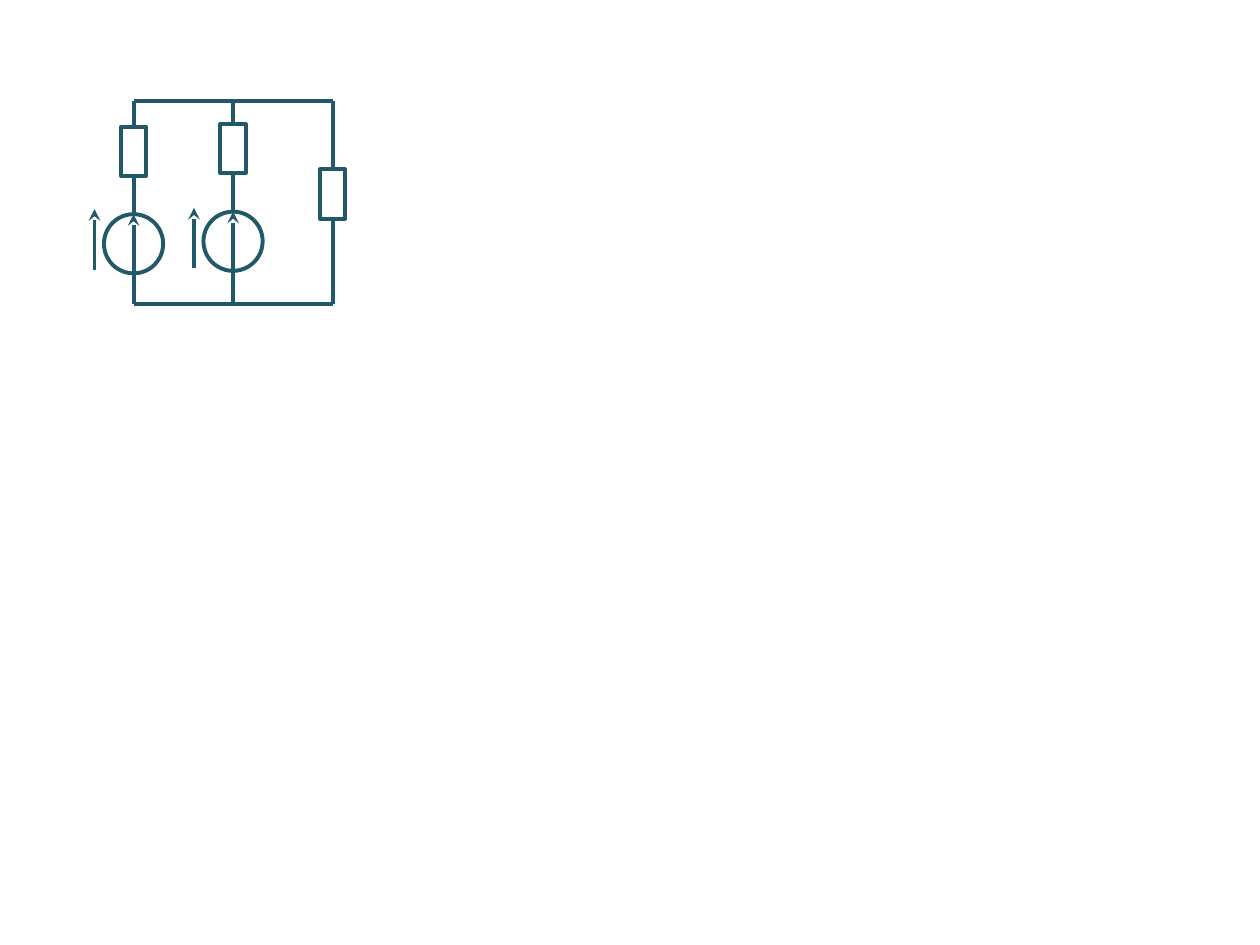
from dataclasses import dataclass

from lxml.etree import SubElement
from pptx import Presentation
from pptx.dml.color import RGBColor
from pptx.enum.shapes import MSO_CONNECTOR, MSO_SHAPE
from pptx.oxml.ns import qn
from pptx.util import Inches, Pt


@dataclass(frozen=True)
class Theme:
    ink: str = "215968"
    weight: float = 2.25


class Board:
    def __init__(self, slide, theme):
        self.slide = slide
        self.theme = theme

    def ink(self, line):
        line.color.rgb = RGBColor.from_string(self.theme.ink)
        line.width = Pt(self.theme.weight)

    def shape(self, kind, x, y, width, height):
        part = self.slide.shapes.add_shape(
            kind, Inches(x - width / 2), Inches(y - height / 2),
            Inches(width), Inches(height))
        part.shadow.inherit = False
        part.fill.background()
        self.ink(part.line)
        return part

    def load(self, x, y):
        return self.shape(MSO_SHAPE.RECTANGLE, x, y, 0.2, LOAD)

    def source(self, x, y):
        return self.shape(MSO_SHAPE.OVAL, x, y, RING, RING)

    def wire(self, start, end):
        line = self.slide.shapes.add_connector(
            MSO_CONNECTOR.STRAIGHT, *(Inches(v) for v in start + end))
        self.ink(line.line)
        SubElement(line._element.spPr, qn("a:effectLst"))
        return line

    def arrow(self, start, end):
        line = self.wire(start, end)
        SubElement(line.line._get_or_add_ln(), qn("a:tailEnd"), type="stealth")


LOAD, RING = 0.39, 0.47
LEFT, STEP = 1.06, 0.79
TOP, BASE = 0.8, 2.41
RIGHT = LEFT + 2 * STEP


def branch(board, x, mid, tip):
    load = board.load(x, mid)
    crown = mid + 0.5
    foot = crown + RING
    ring = board.source(x, crown + RING / 2)
    link = board.wire((x, mid + LOAD / 2), (x, crown))
    link.begin_connect(load, 2)
    link.end_connect(ring, 0)
    board.wire((x, mid - LOAD / 2), (x, TOP)).begin_connect(load, 0)
    board.arrow((x, foot), (x, crown))
    board.wire((x, BASE), (x, foot))
    side = x - 0.31
    board.arrow((side, tip + 0.48), (side, tip))


def main():
    deck = Presentation()
    deck.slide_width = Inches(10)
    deck.slide_height = Inches(7.5)
    board = Board(deck.slides.add_slide(deck.slide_layouts[6]), Theme())

    for col, (mid, tip) in enumerate([(1.2, 1.66), (1.18, 1.65)]):
        branch(board, LEFT + col * STEP, mid, tip)

    mid = 1.54
    load = board.load(RIGHT, mid)
    board.wire((RIGHT, mid - LOAD / 2), (RIGHT, TOP)).begin_connect(load, 0)
    board.wire((RIGHT, BASE), (RIGHT, mid + LOAD / 2)).end_connect(load, 2)
    for rail in (BASE, TOP):
        board.wire((RIGHT, rail), (LEFT, rail))

    deck.save("out.pptx")


if __name__ == "__main__":
    main()
